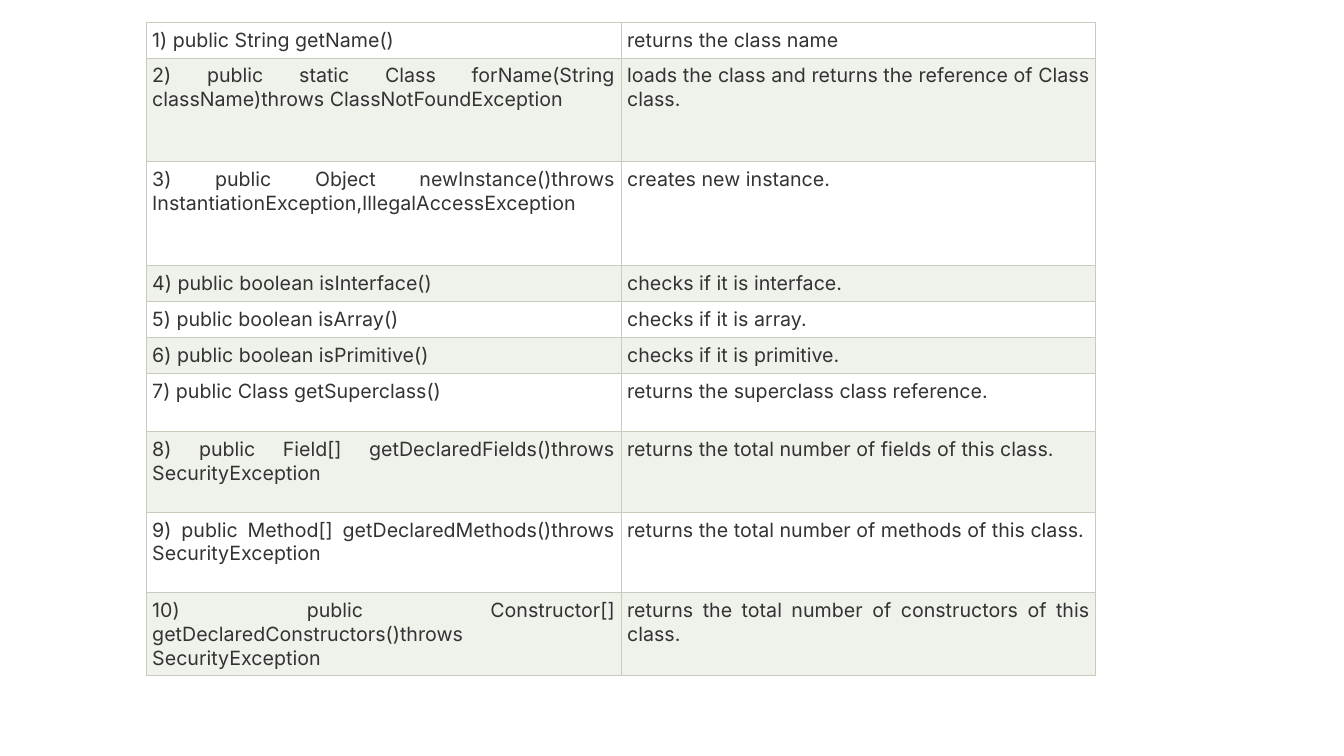
from lxml.etree import SubElement
from pptx import Presentation
from pptx.dml.color import RGBColor
from pptx.enum.text import PP_ALIGN
from pptx.oxml.ns import qn
from pptx.util import Inches, Pt

SLIDE_WIDTH, SLIDE_HEIGHT = 13.33, 7.5
COLORS = {"text": "333333", "plain": "FFFFFF", "band": "EFF1EB", "border": "C7CCBE"}
FONT, FONT_SIZE = "Inter", 14
TABLE_LEFT, TABLE_TOP = 1.45, 0.22
COLUMN_WIDTH = 4.71
CELL_MARGIN = 0.06
BORDER_WIDTH = 0.75
ONE_LINE, SPACED_LINE, TWO_LINES, TALL = 0.35, 0.58, 0.8, 1.03

METHODS = [
    (ONE_LINE, "public String getName()", "returns the class name"),
    (TALL, "public static Class forName(String className)throws ClassNotFoundException",
     "loads the class and returns the reference of Class class."),
    (TALL, "public Object newInstance()throws InstantiationException,IllegalAccessException",
     "creates new instance."),
    (ONE_LINE, "public boolean isInterface()", "checks if it is interface."),
    (ONE_LINE, "public boolean isArray()", "checks if it is array."),
    (ONE_LINE, "public boolean isPrimitive()", "checks if it is primitive."),
    (SPACED_LINE, "public Class getSuperclass()", "returns the superclass class reference."),
    (TWO_LINES, "public Field[] getDeclaredFields()throws SecurityException",
     "returns the total number of fields of this class."),
    (TWO_LINES, "public Method[] getDeclaredMethods()throws SecurityException",
     "returns the total number of methods of this class."),
    (TWO_LINES, "public Constructor[] getDeclaredConstructors()throws SecurityException",
     "returns the total number of constructors of this class."),
]


def add_borders(cell):
    """Draw a thin line on all four sides of a cell that has no fill yet."""
    properties = cell._tc.get_or_add_tcPr()
    for side in ("lnL", "lnR", "lnT", "lnB"):
        line = SubElement(properties, qn(f"a:{side}"), w=str(Pt(BORDER_WIDTH)))
        fill = SubElement(line, qn("a:solidFill"))
        SubElement(fill, qn("a:srgbClr"), val=COLORS["border"])


def fill_cell(cell, text, color):
    """Give a cell its borders, fill, margins and justified text."""
    add_borders(cell)
    cell.fill.solid()
    cell.fill.fore_color.rgb = RGBColor.from_string(color)
    cell.margin_left = cell.margin_right = Inches(CELL_MARGIN)
    cell.margin_top = cell.margin_bottom = Inches(CELL_MARGIN)
    para = cell.text_frame.paragraphs[0]
    para.alignment = PP_ALIGN.JUSTIFY
    span = para.add_run()
    span.text = text
    span.font.name = FONT
    span.font.size = Pt(FONT_SIZE)
    span.font.color.rgb = RGBColor.from_string(COLORS["text"])


def add_method_table(page, methods):
    """Add the two-column table of numbered methods and their purposes."""
    height = sum(row_height for row_height, _, _ in methods)
    table = page.shapes.add_table(
        len(methods), 2, Inches(TABLE_LEFT), Inches(TABLE_TOP),
        Inches(2 * COLUMN_WIDTH), Inches(height)).table
    table.first_row = False
    table.horz_banding = False
    for column in table.columns:
        column.width = Inches(COLUMN_WIDTH)
    for index, (row_height, signature, purpose) in enumerate(methods):
        table.rows[index].height = Inches(row_height)
        color = COLORS["band" if index % 2 else "plain"]
        fill_cell(table.cell(index, 0), f"{index + 1}) {signature}", color)
        fill_cell(table.cell(index, 1), purpose, color)


def main():
    """Build the slide and save the deck."""
    deck = Presentation()
    deck.slide_width, deck.slide_height = Inches(SLIDE_WIDTH), Inches(SLIDE_HEIGHT)
    page = deck.slides.add_slide(deck.slide_layouts[6])
    add_method_table(page, METHODS)
    deck.save("out.pptx")


main()
